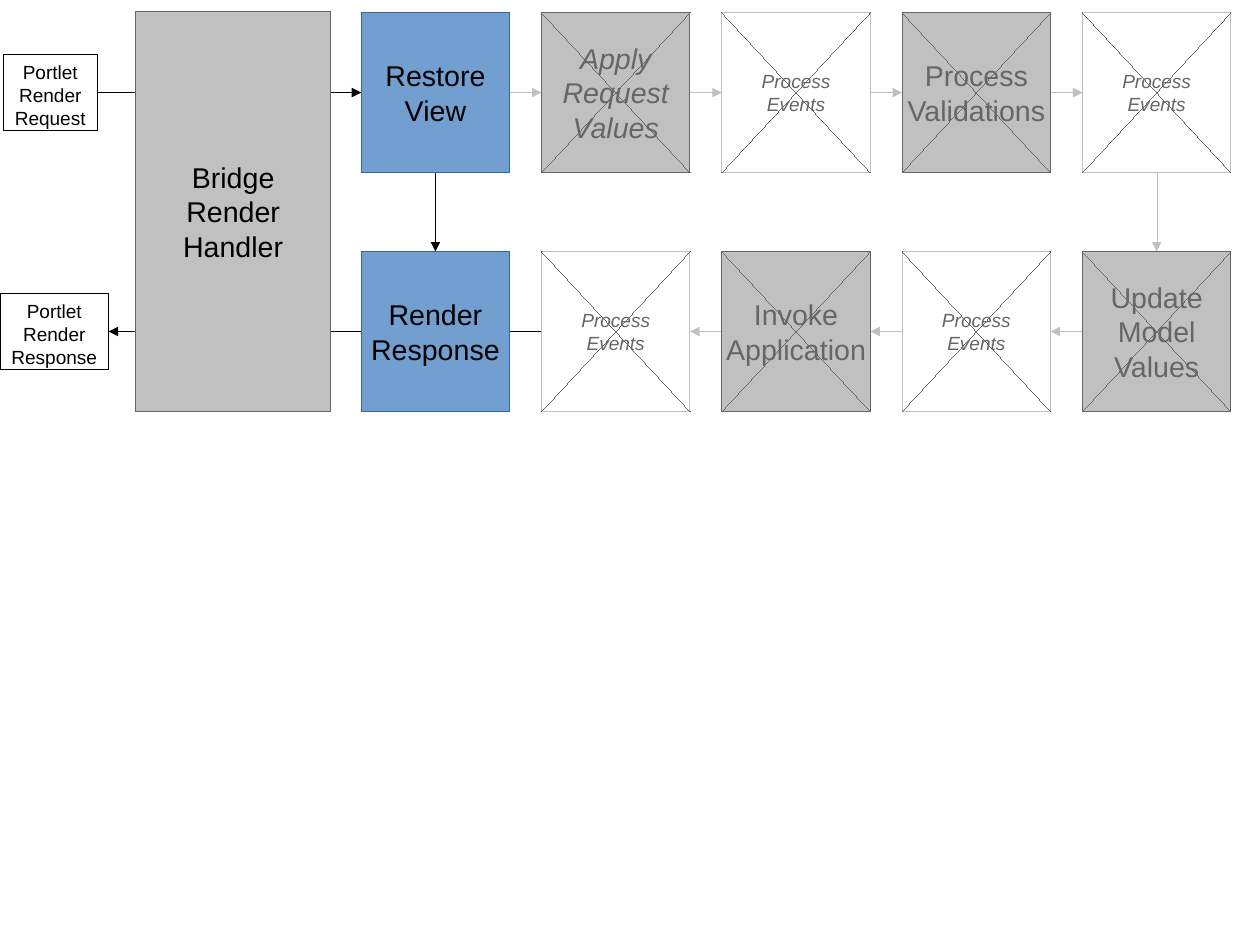
from collections import namedtuple

from lxml import etree
from pptx import Presentation
from pptx.dml.color import RGBColor
from pptx.enum.shapes import MSO_CONNECTOR as Connector, MSO_SHAPE as Shape
from pptx.enum.text import MSO_ANCHOR as Anchor, MSO_AUTO_SIZE as AutoSize, PP_ALIGN as Align
from pptx.oxml.ns import qn
from pptx.util import Cm, Inches, Pt

BLACK = RGBColor(0x00, 0x00, 0x00)
WHITE = RGBColor(0xFF, 0xFF, 0xFF)
BLUE = RGBColor(0x72, 0x9F, 0xCF)
NAVY = RGBColor(0x34, 0x65, 0xA4)
SILVER = RGBColor(0xC0, 0xC0, 0xC0)
GRAY = RGBColor(0x66, 0x66, 0x66)

Box = namedtuple("Box", "left top width height")
Style = namedtuple("Style", "fill line color size italic crossed")

ACTIVE = Style(BLUE, NAVY, BLACK, 18, False, False)
BRIDGE = Style(SILVER, GRAY, BLACK, 18, False, False)
SKIPPED = Style(SILVER, GRAY, GRAY, 18, False, True)
SKIPPED_ITALIC = SKIPPED._replace(italic=True)
EVENTS = Style(WHITE, SILVER, GRAY, 12, True, True)
PORTLET = Style(None, BLACK, BLACK, 12, False, False)

# Grid of lifecycle steps, in inches
STEP_WIDTH, STEP_HEIGHT = 1.3, 1.4
FIRST_LEFT, LAST_LEFT = 3.16, 9.47
COLUMN_PITCH = (LAST_LEFT - FIRST_LEFT) / 4
TOP_ROW, BOTTOM_ROW = 0.11, 2.2

REQUEST_BOX = Box(0.03, 0.48, 0.82, 0.66)
RESPONSE_BOX = Box(0, 2.57, 0.95, 0.66)
BRIDGE_BOX = Box(1.19, 0.1, 1.7, 3.5)

PROCESS_EVENTS = (["Process", "Events"], EVENTS)
TOP_STEPS = [
    (["Restore", "View"], ACTIVE),
    (["Apply", "Request", "Values"], SKIPPED_ITALIC),
    PROCESS_EVENTS,
    (["Process", "Validations"], SKIPPED),
    PROCESS_EVENTS,
]
BOTTOM_STEPS = [
    (["Render", "Response"], ACTIVE),
    PROCESS_EVENTS,
    (["Invoke", "Application"], SKIPPED),
    PROCESS_EVENTS,
    (["Update", "Model", "Values"], SKIPPED),
]


def step_box(column, top):
    return Box(FIRST_LEFT + column * COLUMN_PITCH, top, STEP_WIDTH, STEP_HEIGHT)


def right(box):
    return box.left + box.width


def bottom(box):
    return box.top + box.height


def set_hairline(shape, color):
    """Colour the outline and write its zero width, which line.width would omit."""
    shape.line.color.rgb = color
    outline = shape._element.spPr.find(qn("a:ln"))
    outline.set("w", "0")
    return outline


def draw_line(shapes, start, end, color, arrow=False):
    line = shapes.add_connector(Connector.STRAIGHT, *map(Inches, start + end))
    outline = set_hairline(line, color)
    if arrow:
        etree.SubElement(outline, qn("a:tailEnd"), type="triangle")
    etree.SubElement(line._element.spPr, qn("a:effectLst"))


def draw_cross(page, box):
    group = page.shapes.add_group_shape()
    for start_x, end_x in ((box.left, right(box)), (right(box), box.left)):
        draw_line(group.shapes, (start_x, box.top), (end_x, bottom(box)), GRAY)


def draw_box(page, box, words, style):
    shape = page.shapes.add_shape(Shape.RECTANGLE, *map(Inches, box))
    shape.shadow.inherit = False
    if style.fill is None:
        shape.fill.background()
    else:
        shape.fill.solid()
        shape.fill.fore_color.rgb = style.fill
    set_hairline(shape, style.line)

    frame = shape.text_frame
    frame.word_wrap = False
    frame.vertical_anchor = Anchor.MIDDLE
    if style is PORTLET:
        frame.vertical_anchor = Anchor.TOP
        frame.auto_size = AutoSize.SHAPE_TO_FIT_TEXT
    for index, word in enumerate(words):
        para = frame.add_paragraph() if index else frame.paragraphs[0]
        para.alignment = Align.CENTER
        span = para.add_run()
        span.text = word
        span.font.name = "Arial"
        span.font.size = Pt(style.size)
        span.font.italic = style.italic
        span.font.color.rgb = style.color
    if style.crossed:
        draw_cross(page, box)


def draw_flow(page):
    top = [step_box(column, TOP_ROW) for column in range(5)]
    low = [step_box(column, BOTTOM_ROW) for column in range(5)]
    top_y = TOP_ROW + STEP_HEIGHT / 2
    low_y = BOTTOM_ROW + STEP_HEIGHT / 2

    def across(start_x, end_x, y, color):
        draw_line(page.shapes, (start_x, y), (end_x, y), color, arrow=True)

    def down(column, color):
        x = top[column].left + STEP_WIDTH / 2
        draw_line(page.shapes, (x, bottom(top[column])), (x, BOTTOM_ROW), color, arrow=True)

    # Skipped path: right along the top, left along the bottom
    for before, after in zip(top, top[1:]):
        across(right(before), after.left, top_y, SILVER)
    for after, before in zip(low[1:], low[2:]):
        across(before.left, right(after), low_y, SILVER)
    down(4, SILVER)

    # Path taken by a render request
    across(right(REQUEST_BOX), top[0].left, top_y, BLACK)
    across(low[1].left, right(RESPONSE_BOX), low_y, BLACK)
    down(0, BLACK)


def draw_row(page, top, steps):
    for column, (words, style) in enumerate(steps):
        draw_box(page, step_box(column, top), words, style)


def main():
    deck = Presentation()
    deck.slide_width = Cm(28)
    deck.slide_height = Cm(21)
    page = deck.slides.add_slide(deck.slide_layouts[6])

    # Arrows lie behind the boxes they pass
    draw_flow(page)

    # Lifecycle steps
    draw_row(page, TOP_ROW, TOP_STEPS)
    draw_row(page, BOTTOM_ROW, BOTTOM_STEPS)

    # Portlet and bridge
    draw_box(page, REQUEST_BOX, ["Portlet", "Render", "Request"], PORTLET)
    draw_box(page, RESPONSE_BOX, ["Portlet", "Render", "Response"], PORTLET)
    draw_box(page, BRIDGE_BOX, ["Bridge", "Render", "Handler"], BRIDGE)

    deck.save("out.pptx")


if __name__ == "__main__":
    main()
